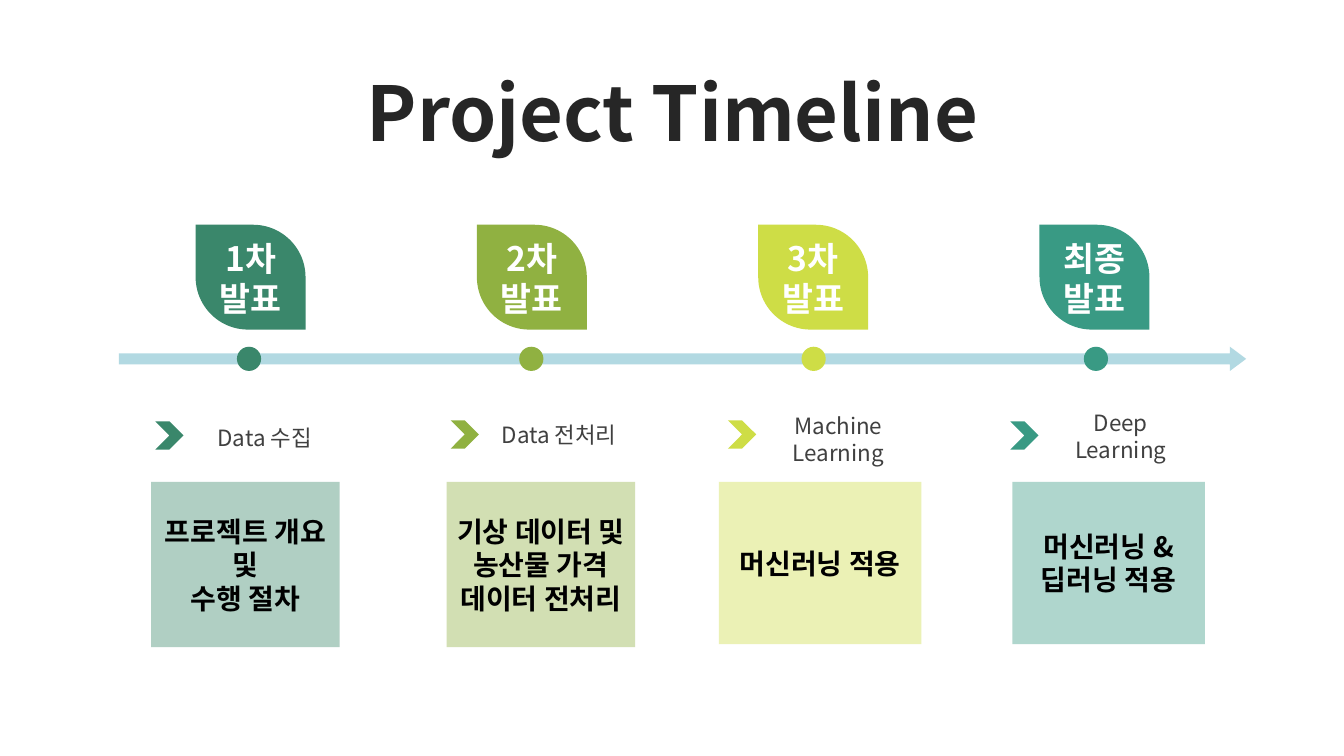
"""Build a project timeline slide with four milestones."""
import dataclasses

import lxml.etree
import pptx
import pptx.dml.color
import pptx.enum.shapes
import pptx.enum.text
import pptx.oxml.ns
import pptx.util

Inches = pptx.util.Inches
RGBColor = pptx.dml.color.RGBColor
Shape = pptx.enum.shapes.MSO_SHAPE
Anchor = pptx.enum.text.MSO_ANCHOR
AutoSize = pptx.enum.text.MSO_AUTO_SIZE
qn = pptx.oxml.ns.qn

FONT = "Noto Sans CJK KR"
PINE = RGBColor(0x3A, 0x87, 0x6B)
OLIVE = RGBColor(0x90, 0xB1, 0x41)
LIME = RGBColor(0xCE, 0xDD, 0x46)
TEAL = RGBColor(0x39, 0x9A, 0x84)
SKY = RGBColor(0xB2, 0xD9, 0xE2)
INK = RGBColor(0x26, 0x26, 0x26)
GRAY = RGBColor(0x40, 0x40, 0x40)
BLACK = RGBColor(0, 0, 0)
WHITE = RGBColor(0xFF, 0xFF, 0xFF)

LEAF_LEFT, LEAF_PITCH = 1.94, 2.79
DOT_LEFT, DOT_PITCH = 2.35, 2.8


@dataclasses.dataclass
class Area:
    left: float
    top: float
    width: float
    height: float

    def lengths(self) -> list[int]:
        return [Inches(value) for value in dataclasses.astuple(self)]


@dataclasses.dataclass
class Milestone:
    color: RGBColor
    stage: str
    topic: str
    topic_area: Area
    chevron_left: float
    chevron_top: float
    details: list[str]
    card_area: Area


MILESTONES = [
    Milestone(PINE, "1차", "Data 수집", Area(1.8, 4.16, 1.65, 0.37), 1.54, 4.18,
              ["프로젝트 개요 및", "수행 절차"], Area(1.5, 4.78, 1.87, 1.64)),
    Milestone(OLIVE, "2차", "Data 전처리", Area(4.72, 4.13, 1.65, 0.37), 4.47, 4.17,
              ["기상 데이터 및 농산물 가격 데이터 전처리"], Area(4.43, 4.78, 1.87, 1.64)),
    Milestone(LIME, "3차", "Machine Learning", Area(7.49, 4.04, 1.65, 0.64), 7.22, 4.17,
              ["머신러닝 적용"], Area(7.13, 4.78, 2.01, 1.61)),
    Milestone(TEAL, "최종", "Deep Learning", Area(10.29, 4.01, 1.65, 0.64), 10.02, 4.18,
              ["머신러닝 & 딥러닝 적용"], Area(10.04, 4.78, 1.91, 1.61)),
]


def write(box, lines: list[str], size: int, color: RGBColor, bold: bool, anchor) -> None:
    frame = box.text_frame
    frame.word_wrap = True
    frame.auto_size = AutoSize.NONE
    frame.vertical_anchor = anchor
    for index, line in enumerate(lines):
        para = frame.add_paragraph() if index else frame.paragraphs[0]
        para.alignment = pptx.enum.text.PP_ALIGN.CENTER
        span = para.add_run()
        span.text = line
        span.font.size = pptx.util.Pt(size)
        span.font.bold = bold
        span.font.color.rgb = color
        span.font.name = FONT
        properties = span.font._element
        lxml.etree.SubElement(properties, qn("a:ea")).set("typeface", FONT)


def add_filled(page, kind, area: Area, color: RGBColor, adjustments=()):
    shape = page.shapes.add_shape(kind, *area.lengths())
    shape.shadow.inherit = False
    shape.fill.solid()
    shape.fill.fore_color.rgb = color
    shape.line.fill.background()
    for index, value in enumerate(adjustments):
        shape.adjustments[index] = value
    return shape


def add_label(page, area: Area, lines: list[str], size: int, color: RGBColor,
              bold: bool, anchor) -> None:
    write(page.shapes.add_textbox(*area.lengths()), lines, size, color, bold, anchor)


def add_title(page) -> None:
    title = page.shapes.title
    title.left, title.top, title.width, title.height = Area(0.34, 0.77, 12.66, 0.79).lengths()
    write(title, ["Project Timeline"], 54, INK, True, Anchor.MIDDLE)
    title.text_frame.paragraphs[0].line_spacing = 0.9


def add_card(page, milestone: Milestone) -> None:
    card = add_filled(page, Shape.RECTANGLE, milestone.card_area, milestone.color)
    tint = card._element.spPr.find(qn("a:solidFill"))[0]
    lxml.etree.SubElement(tint, qn("a:alpha")).set("val", "40000")
    write(card, milestone.details, 20, BLACK, True, Anchor.MIDDLE)


def add_milestone(page, index: int, milestone: Milestone) -> None:
    leaf_left = LEAF_LEFT + index * LEAF_PITCH
    add_filled(page, Shape.ROUND_2_DIAG_RECTANGLE, Area(leaf_left, 2.23, 1.09, 1.04),
               milestone.color, (0, 0.5))
    add_label(page, Area(leaf_left, 2.3, 1.09, 0.91), [milestone.stage, "발표"],
              24, WHITE, True, Anchor.MIDDLE)
    add_filled(page, Shape.OVAL, Area(DOT_LEFT + index * DOT_PITCH, 3.44, 0.24, 0.24),
               milestone.color)
    add_filled(page, Shape.CHEVRON,
               Area(milestone.chevron_left, milestone.chevron_top, 0.28, 0.28), milestone.color)
    add_label(page, milestone.topic_area, [milestone.topic], 16, GRAY, False, Anchor.TOP)
    add_card(page, milestone)


def main() -> None:
    deck = pptx.Presentation()
    deck.slide_width, deck.slide_height = Inches(13.33), Inches(7.5)
    page = deck.slides.add_slide(deck.slide_layouts.get_by_name("Title Only"))
    add_title(page)
    add_filled(page, Shape.RIGHT_ARROW, Area(1.18, 3.44, 11.18, 0.24), SKY, (0.45, 0.67))
    for index, milestone in enumerate(MILESTONES):
        add_milestone(page, index, milestone)
    deck.save("out.pptx")


if __name__ == "__main__":
    main()
